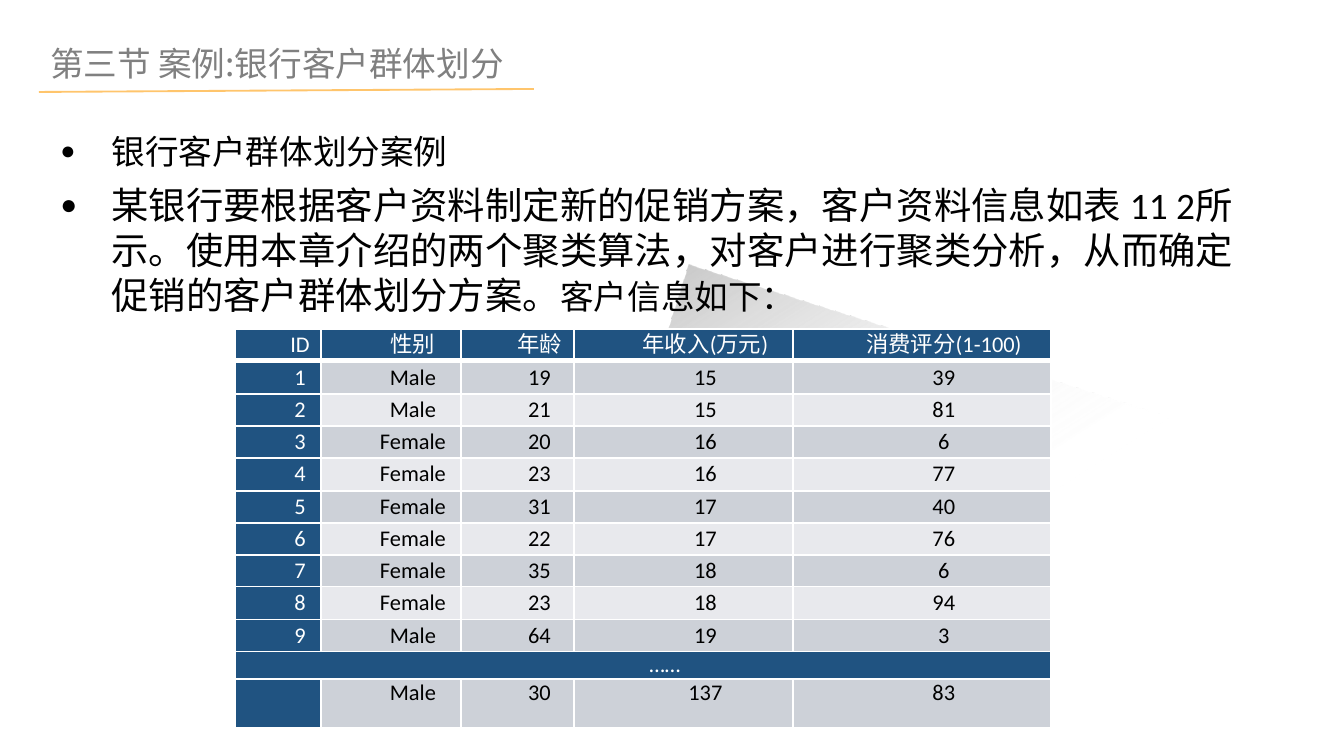
from dataclasses import dataclass

from lxml import etree
from pptx import Presentation
from pptx.dml.color import RGBColor
from pptx.enum.shapes import MSO_CONNECTOR, MSO_SHAPE
from pptx.enum.text import MSO_ANCHOR, MSO_AUTO_SIZE, PP_ALIGN
from pptx.oxml import parse_xml
from pptx.oxml.ns import qn
from pptx.util import Emu, Pt

LEFT, CENTER = PP_ALIGN.LEFT, PP_ALIGN.CENTER
TOP, MIDDLE = MSO_ANCHOR.TOP, MSO_ANCHOR.MIDDLE
NO_FIT = MSO_AUTO_SIZE.NONE
RECT, STRAIGHT = MSO_SHAPE.RECTANGLE, MSO_CONNECTOR.STRAIGHT

EMU_PER_PX = 914400 / 134.4
DRAWING_NS = "http://schemas.openxmlformats.org/drawingml/2006/main"
WHITE, BLACK, GREY, ORANGE = "FFFFFF", "000000", "808080", "FFC56C"
NAVY, BAND_DARK, BAND_LIGHT = "205381", "CDD1D8", "E8E9ED"
LATIN, CJK = "Calibri", "Noto Sans CJK SC"

TITLE = "第三节 案例:银行客户群体划分"
BULLETS = [
    [("银行客户群体划分案例", 18)],
    [("某银行要根据客户资料制定新的促销方案，客户资料信息如表 11 2所示。"
      "使用本章介绍的两个聚类算法，对客户进行聚类分析，从而确定促销的客户群体划分方案。", 20),
     ("客户信息如下：", 18)],
]


@dataclass
class Customer:
    id: str
    gender: str
    age: int
    income: int
    score: int

    def texts(self) -> list[str]:
        return [self.id, self.gender, str(self.age), str(self.income), str(self.score)]


HEADER = ["ID", "性别", "年龄", "年收入(万元)", "消费评分(1-100)"]
CUSTOMERS = [
    Customer("1", "Male", 19, 15, 39),
    Customer("2", "Male", 21, 15, 81),
    Customer("3", "Female", 20, 16, 6),
    Customer("4", "Female", 23, 16, 77),
    Customer("5", "Female", 31, 17, 40),
    Customer("6", "Female", 22, 17, 76),
    Customer("7", "Female", 35, 18, 6),
    Customer("8", "Female", 23, 18, 94),
    Customer("9", "Male", 64, 19, 3),
]
LAST_CUSTOMER = Customer("", "Male", 30, 137, 83)
COLUMN_WIDTHS = [86, 140, 113, 219, 258]
ROW_EDGES = [round(i * 32.3) for i in range(len(CUSTOMERS) + 2)]
ROW_HEIGHTS = [b - a for a, b in zip(ROW_EDGES, ROW_EDGES[1:])] + [24, 49]


def px(n: int) -> Emu:
    return Emu(round(n * EMU_PER_PX))


def rgb(color: str) -> RGBColor:
    return RGBColor.from_string(color)


def place(shape, left: int, top: int, width: int, height: int) -> None:
    shape.left, shape.top, shape.width, shape.height = map(px, (left, top, width, height))


def add_text(p, text: str, *, size: int, color: str = BLACK, font: str = LATIN) -> None:
    r = p.add_run()
    r.text = text
    r.font.size, r.font.bold, r.font.name = Pt(size), False, font
    r.font.color.rgb = rgb(color)
    etree.SubElement(r.font._element, qn("a:ea"), typeface=font)


def set_indent(p, margin: int, indent: int) -> None:
    pPr = p._p.get_or_add_pPr()
    pPr.set("marL", str(px(margin)))
    pPr.set("indent", str(px(indent)))


def add_title(s) -> None:
    title = s.shapes.title
    place(title, 39, 38, 496, 51)
    tf = title.text_frame
    tf.word_wrap, tf.auto_size, tf.vertical_anchor = False, NO_FIT, MIDDLE
    tf.margin_left = tf.margin_right = px(11)
    tf.margin_top = tf.margin_bottom = px(5)
    tf.paragraphs[0].alignment = LEFT
    add_text(tf.paragraphs[0], TITLE, size=18, color=GREY, font=CJK)


def add_underline(s) -> None:
    line = s.shapes.add_connector(STRAIGHT, px(39), px(92), px(534), px(89))
    line.line.color.rgb, line.line.width = rgb(ORANGE), Pt(1)
    etree.SubElement(line._element.spPr, qn("a:effectLst"))


def add_shade(s) -> None:
    """Slanted rectangle that fades from grey to clear."""
    shade = s.shapes.add_shape(RECT, 0, 0, 0, 0)
    place(shade, 633, 366, 711, 259)
    shade.rotation = 17.6
    shade.shadow.inherit = False
    shade.line.fill.background()
    shade.fill.background()
    stops = [(0, "4991D2", 54), (0, "BFBFBF", 100), (54, WHITE, 0)]
    stop_xml = "".join(
        f'<a:gs pos="{pos * 1000}"><a:srgbClr val="{color}">'
        f'<a:alpha val="{alpha * 1000}"/></a:srgbClr></a:gs>'
        for pos, color, alpha in stops)
    gradient = parse_xml(
        f'<a:gradFill xmlns:a="{DRAWING_NS}" rotWithShape="1"><a:gsLst>{stop_xml}</a:gsLst>'
        f'<a:lin ang="{40 * 60000}" scaled="0"/></a:gradFill>')
    spPr = shade._element.spPr
    spPr.replace(spPr.find(qn("a:noFill")), gradient)


def add_bullets(s) -> None:
    body = s.placeholders[1]
    place(body, 47, 124, 1227, 202)
    s.shapes._spTree.append(body._element)  # in front of the shade
    tf = body.text_frame
    tf.word_wrap, tf.auto_size, tf.vertical_anchor = True, NO_FIT, TOP
    for i, runs in enumerate(BULLETS):
        p = tf.add_paragraph() if i else tf.paragraphs[0]
        p.alignment, p.space_before = LEFT, Pt(6)
        set_indent(p, 51, -51)
        pPr = p._p.get_or_add_pPr()
        etree.SubElement(pPr, qn("a:buSzPct"), val="75000")
        etree.SubElement(pPr, qn("a:buChar"), char="●")
        for text, size in runs:
            add_text(p, text, size=size)


def set_borders(cell, *, top: int = 1, bottom: int = 1) -> None:
    tcPr = cell._tc.get_or_add_tcPr()
    for i, (side, width) in enumerate(dict(L=1, R=1, T=top, B=bottom).items()):
        tcPr.insert(i, parse_xml(
            f'<a:ln{side} xmlns:a="{DRAWING_NS}" w="{Pt(width)}"><a:solidFill>'
            f'<a:srgbClr val="{WHITE}"/></a:solidFill></a:ln{side}>'))


def fill_cell(cell, text: str, *, fill: str, color: str, anchor: MSO_ANCHOR) -> None:
    cell.fill.solid()
    cell.fill.fore_color.rgb = rgb(fill)
    cell.vertical_anchor = anchor
    cell.margin_left = cell.margin_right = px(9)
    cell.margin_top = cell.margin_bottom = 0
    if text:
        p = cell.text_frame.paragraphs[0]
        p.alignment = CENTER
        set_indent(p, 0, 44)
        add_text(p, text, size=12, color=color)


def add_customer_table(s) -> None:
    ellipsis = ["……"] + [""] * (len(HEADER) - 1)
    rows = [HEADER, *(c.texts() for c in CUSTOMERS), ellipsis, LAST_CUSTOMER.texts()]
    last = len(rows) - 1
    table = s.shapes.add_table(len(rows), len(HEADER), px(235), px(329),
                               px(sum(COLUMN_WIDTHS)), px(sum(ROW_HEIGHTS))).table
    table.horz_banding = False
    for column, width in zip(table.columns, COLUMN_WIDTHS):
        column.width = px(width)
    for i, texts in enumerate(rows):
        table.rows[i].height = px(ROW_HEIGHTS[i])
        for j, text in enumerate(texts):
            cell = table.cell(i, j)
            dark = i in (0, last - 1) or j == 0
            band = BAND_DARK if i % 2 else BAND_LIGHT
            fill_cell(cell, text, fill=NAVY if dark else band,
                      color=WHITE if dark else BLACK,
                      anchor=TOP if i == last else MIDDLE)
            set_borders(cell, top=3 if i == 1 else 1, bottom=3 if i == 0 else 1)
    table.cell(last - 1, 0).merge(table.cell(last - 1, len(HEADER) - 1))


def main() -> None:
    prs = Presentation()
    prs.slide_width, prs.slide_height = px(1344), px(756)
    s = prs.slides.add_slide(prs.slide_layouts[1])
    add_title(s)
    add_underline(s)
    add_shade(s)
    add_bullets(s)
    add_customer_table(s)
    prs.save("out.pptx")


if __name__ == "__main__":
    main()
